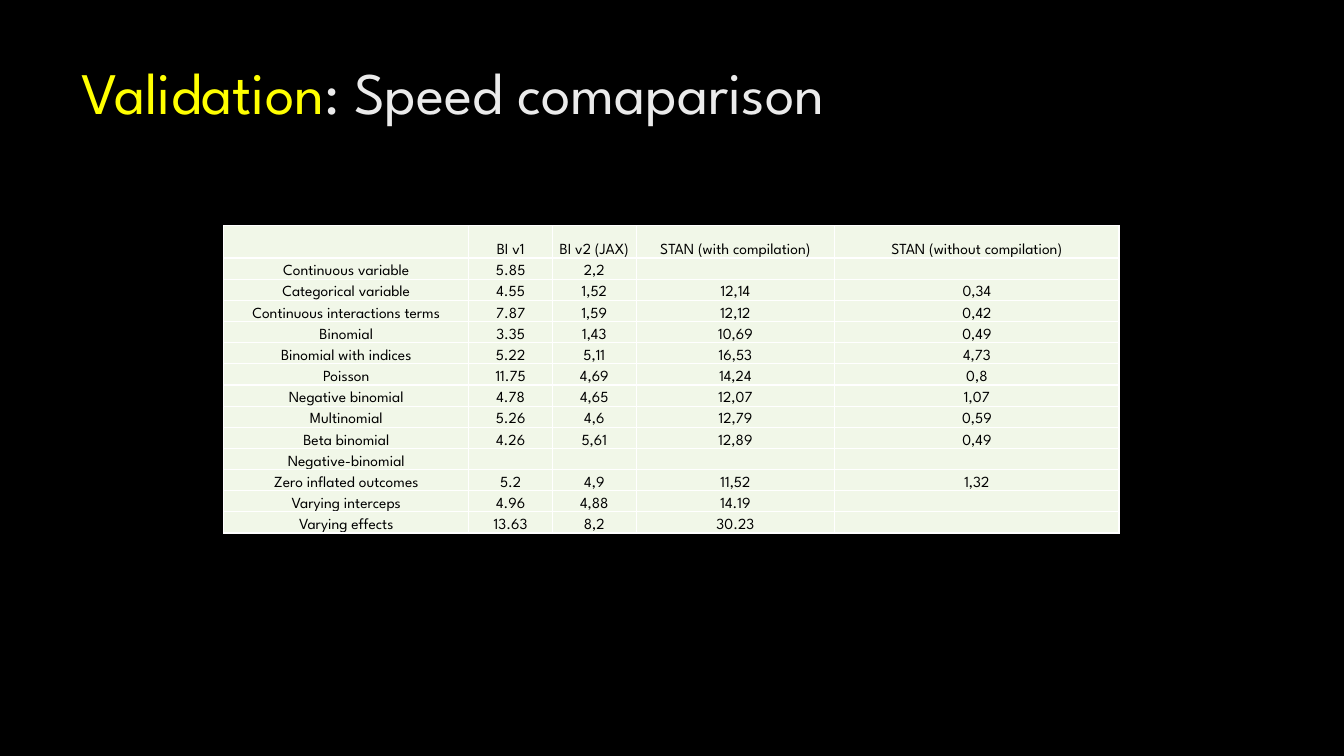
from lxml.etree import SubElement
from pptx import Presentation
from pptx.dml.color import RGBColor
from pptx.enum.text import MSO_ANCHOR as Anchor, PP_ALIGN as Align
from pptx.oxml.ns import qn
from pptx.util import Inches, Pt

FONT = "League Spartan"
TITLE_SIZE, CELL_SIZE = 42, 11
BLACK, WHITE, YELLOW, GREY, PALE_GREEN = "000000", "FFFFFF", "FFFF00", "EBEBEB", "F1F7E8"

# Table grid, in inches
TABLE_LEFT, TABLE_TOP = 2.22, 2.24
COLUMN_WIDTHS = [2.43, 0.83, 0.83, 1.97, 2.82]
HEADER_HEIGHT, ROW_HEIGHT = 0.32, 0.21
CELL_INSET = 0.01

TIMINGS = [
    ("", "BI v1", "BI v2 (JAX)", "STAN (with compilation)", "STAN (without compilation)"),
    ("Continuous variable", "5.85", "2,2", "", ""),
    ("Categorical variable", "4.55", "1,52", "12,14", "0,34"),
    ("Continuous interactions terms", "7.87", "1,59", "12,12", "0,42"),
    ("Binomial", "3.35", "1,43", "10,69", "0,49"),
    ("Binomial with indices", "5.22", "5,11", "16,53", "4,73"),
    ("Poisson", "11.75", "4,69", "14,24", "0,8"),
    ("Negative binomial", "4.78", "4,65", "12,07", "1,07"),
    ("Multinomial", "5.26", "4,6", "12,79", "0,59"),
    ("Beta binomial", "4.26", "5,61", "12,89", "0,49"),
    ("Negative-binomial", "", "", "", ""),
    ("Zero inflated outcomes", "5.2", "4,9", "11,52", "1,32"),
    ("Varying interceps", "4.96", "4,88", "14.19", ""),
    ("Varying effects", "13.63", "8,2", "30.23", ""),
]


def color(hex_code):
    return RGBColor.from_string(hex_code)


def paint(fill, hex_code):
    fill.solid()
    fill.fore_color.rgb = color(hex_code)


def format_span(span, size, hex_code):
    span.font.name = FONT
    span.font.size = Pt(size)
    span.font.color.rgb = color(hex_code)


def add_title(page, parts):
    """Fill the title placeholder with (text, colour) parts."""
    title = page.shapes.title
    title.left, title.top = Inches(0.71), Inches(0.5)
    title.width, title.height = Inches(10.29), Inches(1.53)
    frame = title.text_frame
    frame.word_wrap = True
    frame.vertical_anchor = Anchor.TOP
    para = frame.paragraphs[0]
    para.alignment = Align.LEFT
    for text, hex_code in parts:
        span = para.add_run()
        span.text = text
        format_span(span, TITLE_SIZE, hex_code)


def add_borders(cell, hex_code, points):
    properties = cell._tc.get_or_add_tcPr()
    for side in ("a:lnL", "a:lnR", "a:lnT", "a:lnB"):
        line = SubElement(properties, qn(side), w=str(Pt(points)))
        SubElement(SubElement(line, qn("a:solidFill")), qn("a:srgbClr"), val=hex_code)


def fill_cell(cell, text):
    add_borders(cell, WHITE, 1)
    paint(cell.fill, PALE_GREEN)
    cell.margin_left = cell.margin_right = cell.margin_top = Inches(CELL_INSET)
    cell.margin_bottom = 0
    cell.vertical_anchor = Anchor.BOTTOM
    para = cell.text_frame.paragraphs[0]
    para.alignment = Align.CENTER
    if text:
        para.text = text
        format_span(para.runs[0], CELL_SIZE, BLACK)
    else:
        # The end mark keeps an empty row from growing
        SubElement(para._p, qn("a:endParaRPr"), sz=str(CELL_SIZE * 100))


def add_timing_table(page):
    heights = [HEADER_HEIGHT] + [ROW_HEIGHT] * (len(TIMINGS) - 1)
    table = page.shapes.add_table(
        len(heights), len(COLUMN_WIDTHS), Inches(TABLE_LEFT), Inches(TABLE_TOP),
        Inches(sum(COLUMN_WIDTHS)), Inches(sum(heights))).table
    table.first_row = table.horz_banding = False
    for column, width in zip(table.columns, COLUMN_WIDTHS):
        column.width = Inches(width)
    for row, height, texts in zip(table.rows, heights, TIMINGS):
        row.height = Inches(height)
        for cell, text in zip(row.cells, texts):
            fill_cell(cell, text)


def main():
    deck = Presentation()
    deck.slide_width, deck.slide_height = Inches(13.33), Inches(7.5)
    page = deck.slides.add_slide(deck.slide_layouts.get_by_name("Title Only"))
    paint(page.background.fill, BLACK)
    add_title(page, [("Validation", YELLOW), (": Speed comaparison", GREY)])
    add_timing_table(page)
    deck.save("out.pptx")


if __name__ == "__main__":
    main()
